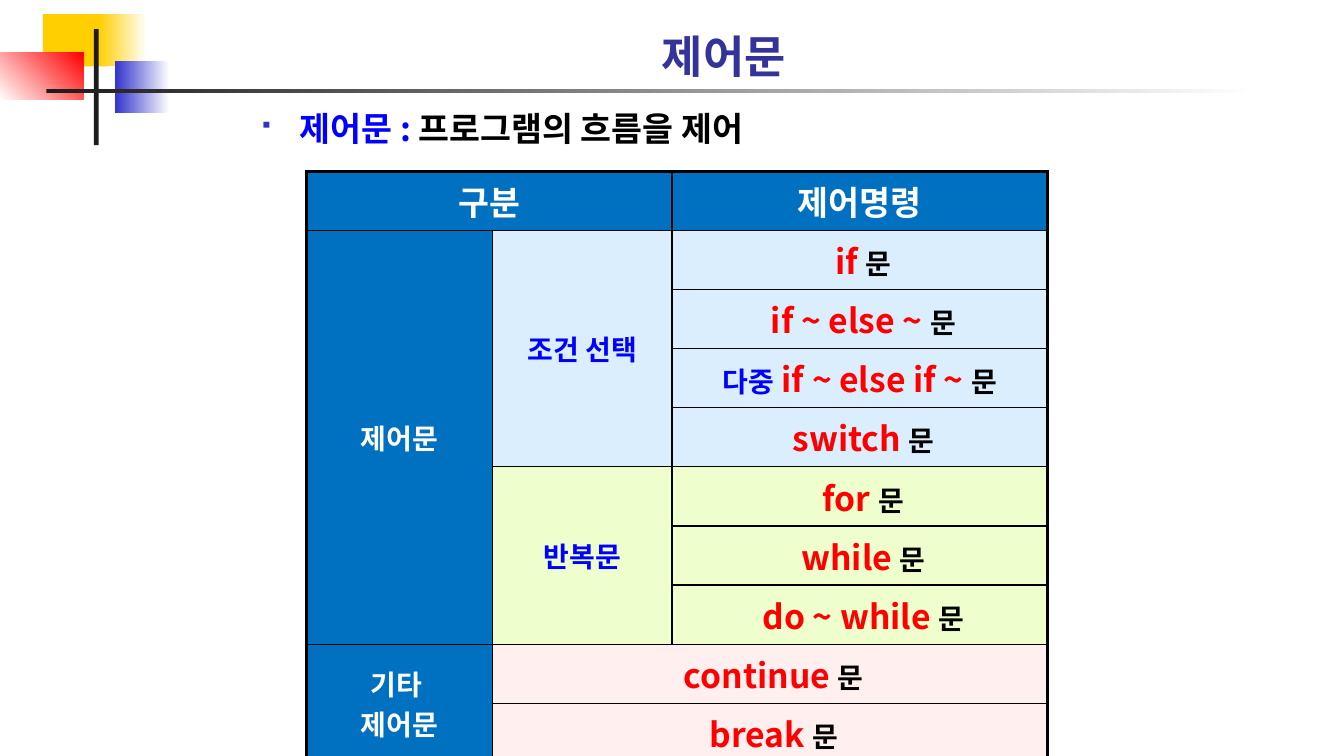
from dataclasses import dataclass
from typing import Any

from lxml import etree
from pptx import Presentation
from pptx.dml.color import RGBColor
from pptx.enum.shapes import MSO_SHAPE
from pptx.enum.text import MSO_ANCHOR, MSO_AUTO_SIZE, PP_ALIGN
from pptx.oxml.ns import qn
from pptx.util import Inches, Pt

RECT = MSO_SHAPE.RECTANGLE
BOTTOM, MIDDLE = MSO_ANCHOR.BOTTOM, MSO_ANCHOR.MIDDLE
FIXED = MSO_AUTO_SIZE.NONE
CENTER = PP_ALIGN.CENTER

WIDE, HIGH = Inches(13.333), Inches(7.5)
FACE = "Noto Sans CJK KR"
WHITE, BLACK, INK = "FFFFFF", "000000", "1C1C1C"
RED, BLUE, NAVY, DOT = "FF0000", "0000FF", "333399", "3333CC"
GOLD, HEAD = "FFCF01", "0070C0"
SKY, LIME, PINK = "DAEEFE", "EEFFCD", "FFEFEF"
THIN, THICK = 1, 2.25


@dataclass(frozen=True)
class Box:
    x: float
    y: float
    w: float
    h: float

    def place(self) -> tuple[int, int, int, int]:
        return across(self.x), down(self.y), across(self.w), down(self.h)


@dataclass(frozen=True)
class Block:
    box: Box
    first: str
    last: str = ""
    angle: int = 0


@dataclass(frozen=True)
class Run:
    text: str
    color: str
    size: int = 20


@dataclass(frozen=True)
class Entry:
    row: int
    col: int
    fill: str
    runs: tuple[Run, ...]
    tall: int = 1
    broad: int = 1


def across(share: float) -> int:
    return round(WIDE * share / 100)


def down(share: float) -> int:
    return round(HIGH * share / 100)


def tint(code: str) -> RGBColor:
    return RGBColor.from_string(code)


def node(parent: Any, tag: str, **attrs: str) -> Any:
    return etree.SubElement(parent, qn(f"a:{tag}"), attrs)


def command(name: str, lead: str = "") -> tuple[Run, ...]:
    start = (Run(lead, BLUE),) if lead else ()
    return (*start, Run(f" {name} ", RED, 24), Run("문", BLACK))


BLOCKS = [
    Block(Box(3.2, 1.87, 4.8, 6.93), GOLD),
    Block(Box(7.35, 1.87, 3.6, 6.93), GOLD, WHITE),
    Block(Box(8.55, 8.05, 4.05, 6.93), DOT, WHITE),
    Block(Box(0, 6.93, 6.2, 6.27), WHITE, RED, 45),
    Block(Box(6.98, 3.87, 0.35, 15.33), INK),
    Block(Box(3.45, 11.8, 90, 0.5), INK, WHITE),
]
TITLE = Box(21.9, 3.85, 63.9, 7.73)
BODY = Box(18.75, 13.6, 64.35, 12.27)
GRID = Box(22.8, 22.67, 55.13, 78.2)
COLS = (13.85, 13.35, 27.93)
ROWS = 10

CHOICE = [
    command("if"),
    command("if ~ else ~"),
    command("if ~ else if ~", "다중"),
    command("switch"),
]
LOOPS = [command(name) for name in ("for", "while", "do ~ while")]
JUMPS = [command(name) for name in ("continue", "break")]

ENTRIES = [
    Entry(0, 0, HEAD, (Run("구분", WHITE, 24),), broad=2),
    Entry(0, 2, HEAD, (Run("제어명령", WHITE, 24),)),
    Entry(1, 0, HEAD, (Run("제어문", WHITE),), tall=7),
    Entry(1, 1, SKY, (Run("조건 선택", BLUE),), tall=4),
    Entry(5, 1, LIME, (Run("반복문", BLUE),), tall=3),
    Entry(8, 0, HEAD, (Run("기타 \n제어문", WHITE),), tall=2),
    *(Entry(row, 2, SKY, runs) for row, runs in enumerate(CHOICE, 1)),
    *(Entry(row, 2, LIME, runs) for row, runs in enumerate(LOOPS, 5)),
    *(Entry(row, 1, PINK, runs, broad=2) for row, runs in enumerate(JUMPS, 8)),
]


def draw_block(slide: Any, block: Block) -> None:
    shape = slide.shapes.add_shape(RECT, *block.box.place())
    shape.shadow.inherit = False
    shape.line.fill.background()
    if not block.last:
        shape.fill.solid()
        shape.fill.fore_color.rgb = tint(block.first)
        return
    shape.fill.gradient()
    shape.fill.gradient_angle = block.angle
    for stop, code, spot in zip(shape.fill.gradient_stops, (block.first, block.last), (0, 1)):
        stop.color.rgb = tint(code)
        stop.position = spot


def write(para: Any, runs: tuple[Run, ...]) -> None:
    font = para.font
    font.name, font.bold = FACE, True
    sizes = {run.size for run in runs}
    colors = {run.color for run in runs}
    if len(sizes) == 1:
        font.size = Pt(runs[0].size)
    if len(colors) == 1:
        font.color.rgb = tint(runs[0].color)
    node(para._p.pPr.find(qn("a:defRPr")), "ea", typeface=FACE)
    for run in runs:
        for turn, line in enumerate(run.text.split("\n")):
            if turn:
                para.add_line_break()
            part = para.add_run()
            part.text = line
            if len(sizes) > 1:
                part.font.size = Pt(run.size)
            if len(colors) > 1:
                part.font.color.rgb = tint(run.color)


def space(para: Any) -> Any:
    props = para._p.get_or_add_pPr()
    node(node(props, "spcBef"), "spcPct", val="20000")
    return props


def draw_title(slide: Any) -> None:
    title = slide.shapes.title
    title.left, title.top, title.width, title.height = TITLE.place()
    frame = title.text_frame
    frame.auto_size = FIXED
    frame.vertical_anchor = BOTTOM
    para = frame.paragraphs[0]
    para.alignment = CENTER
    write(para, (Run("제어문", NAVY, 32),))


def draw_body(slide: Any) -> None:
    frame = slide.shapes.add_textbox(*BODY.place()).text_frame
    frame.word_wrap = True
    para = frame.paragraphs[0]
    props = space(para)
    dent = across(2.81)
    props.set("marL", str(dent))
    props.set("indent", str(-dent))
    node(node(props, "buClr"), "srgbClr", val=DOT)
    node(props, "buSzPct", val="60000")
    node(props, "buFont", typeface="Wingdings", pitchFamily="2", charset="2")
    node(props, "buChar", char="§")
    write(para, (Run("제어문 : ", BLUE, 24), Run("프로그램의 흐름을 제어", BLACK, 24)))


def edge(cell: Any, entry: Entry) -> None:
    props = cell._tc.get_or_add_tcPr()
    outer = {
        "lnL": entry.col == 0,
        "lnR": entry.col + entry.broad == len(COLS),
        "lnT": entry.row == 0,
        "lnB": entry.row + entry.tall == ROWS,
    }
    for tag, thick in outer.items():
        line = node(props, tag, w=str(Pt(THICK if thick else THIN)))
        node(node(line, "solidFill"), "srgbClr", val=BLACK)


def draw_table(slide: Any) -> None:
    table = slide.shapes.add_table(ROWS, len(COLS), *GRID.place()).table
    table.first_row = table.horz_banding = False
    for col, share in zip(table.columns, COLS):
        col.width = across(share)
    for entry in ENTRIES:
        cell = table.cell(entry.row, entry.col)
        if entry.tall * entry.broad > 1:
            cell.merge(table.cell(entry.row + entry.tall - 1, entry.col + entry.broad - 1))
        edge(cell, entry)
        cell.fill.solid()
        cell.fill.fore_color.rgb = tint(entry.fill)
        cell.vertical_anchor = MIDDLE
        para = cell.text_frame.paragraphs[0]
        space(para)
        para.alignment = CENTER
        write(para, entry.runs)


def main() -> None:
    deck = Presentation()
    deck.slide_width, deck.slide_height = WIDE, HIGH
    slide = deck.slides.add_slide(deck.slide_layouts[5])
    for block in BLOCKS:
        draw_block(slide, block)
    draw_title(slide)
    draw_body(slide)
    draw_table(slide)
    deck.save("out.pptx")


if __name__ == "__main__":
    main()
